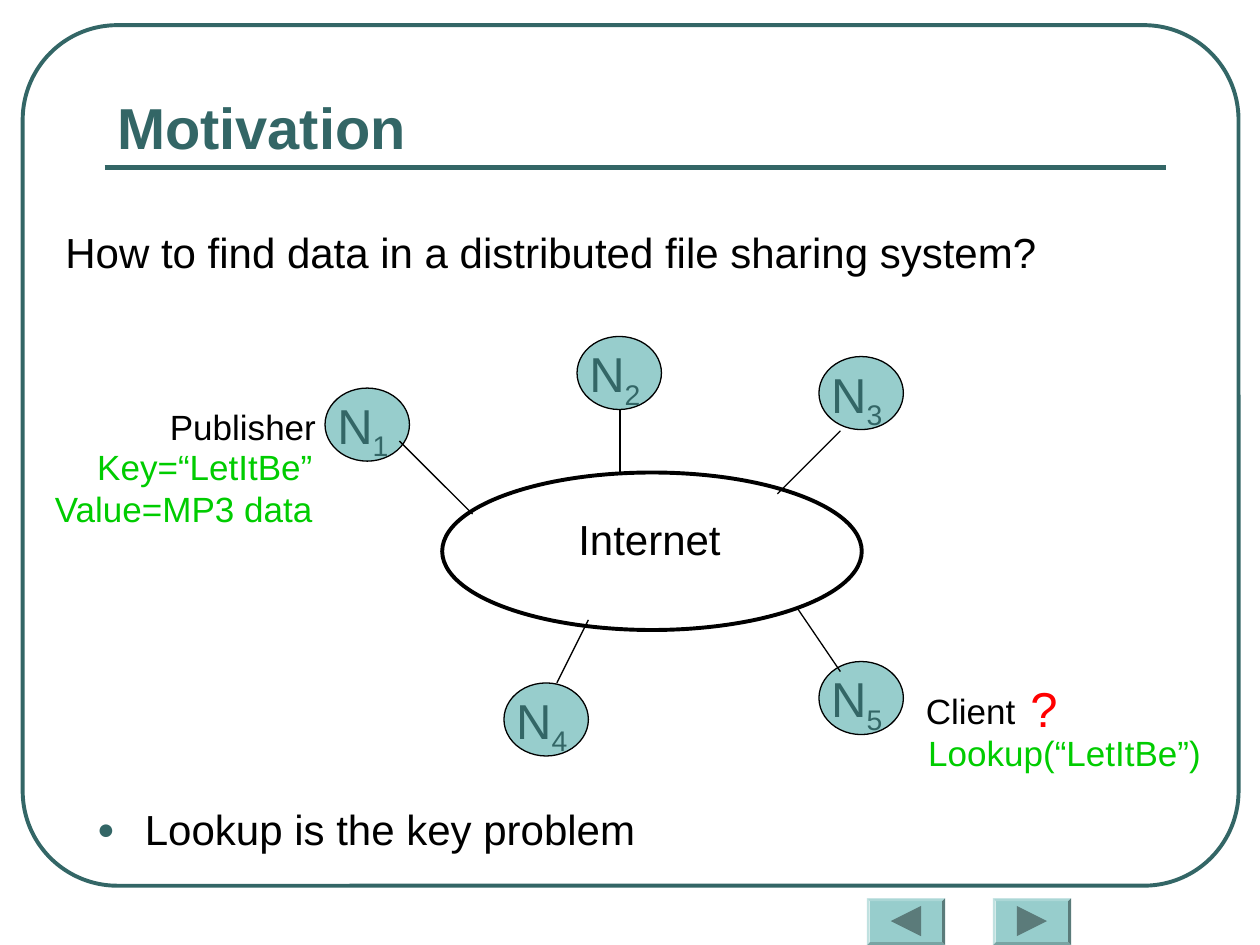
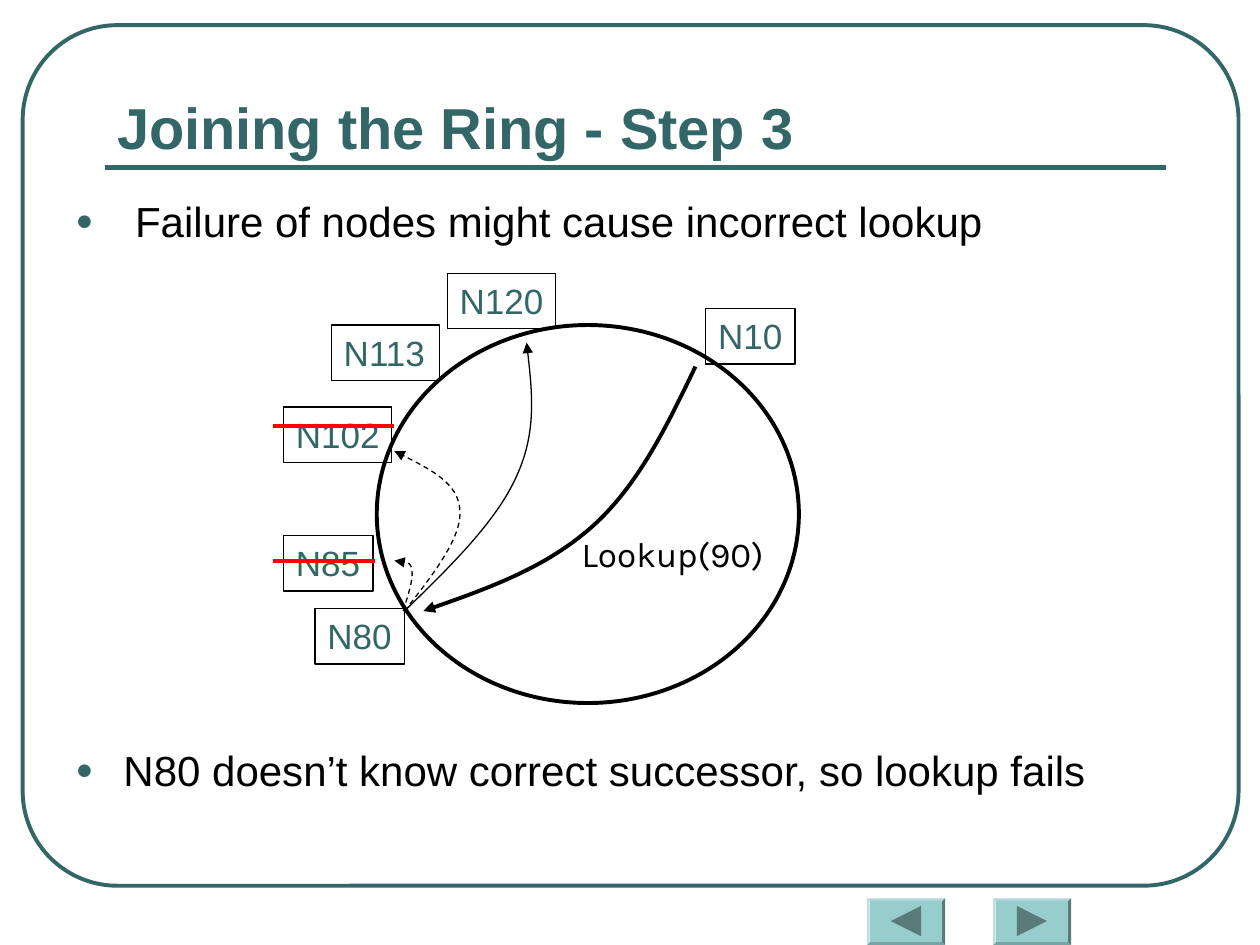
from lxml import etree
from pptx import Presentation
from pptx.dml.color import RGBColor
from pptx.enum.dml import MSO_LINE
from pptx.enum.shapes import MSO_CONNECTOR, MSO_SHAPE
from pptx.enum.text import MSO_ANCHOR, MSO_AUTO_SIZE, PP_ALIGN
from pptx.oxml.ns import qn
from pptx.util import Inches, Pt

STRAIGHT = MSO_CONNECTOR.STRAIGHT
OVAL, RECTANGLE = MSO_SHAPE.OVAL, MSO_SHAPE.RECTANGLE
ROUNDED, BEVEL = MSO_SHAPE.ROUNDED_RECTANGLE, MSO_SHAPE.BEVEL
TRIANGLE = MSO_SHAPE.ISOSCELES_TRIANGLE
LEFT, CENTER, RIGHT = PP_ALIGN.LEFT, PP_ALIGN.CENTER, PP_ALIGN.RIGHT
TOP, MIDDLE, BOTTOM = MSO_ANCHOR.TOP, MSO_ANCHOR.MIDDLE, MSO_ANCHOR.BOTTOM
FIXED = MSO_AUTO_SIZE.NONE
DASH = MSO_LINE.DASH

TEAL, AQUA, ARROW_GRAY = "336666", "97CDCC", "5B7B7A"
BLACK, GREEN, RED = "000000", "00CC00", "FF0000"


def paint(shape, line=None, width=0.75, fill=None):
    """Set outline and fill from hex strings, without a shadow."""
    if hasattr(shape, "fill"):
        if fill:
            shape.fill.solid()
            shape.fill.fore_color.rgb = RGBColor.from_string(fill)
        else:
            shape.fill.background()
    if line:
        shape.line.color.rgb = RGBColor.from_string(line)
        shape.line.width = Pt(width)
    else:
        shape.line.fill.background()
    etree.SubElement(shape._element.spPr, qn("a:effectLst"))


def write(box, lines, color, size=20, align=LEFT, anchor=TOP, subscript="",
          bold=False, font="Arial"):
    """Fill a box with one paragraph per line, the last with a subscript."""
    # Only the aligned side has a margin, so that tight labels stay on one line
    frame_format = {"word_wrap": True, "auto_size": FIXED, "vertical_anchor": anchor,
                    "margin_left": Inches(0.1 if align == LEFT else 0),
                    "margin_right": Inches(0.1 if align == RIGHT else 0),
                    "margin_top": Inches(0.05), "margin_bottom": Inches(0.05)}
    for name, value in frame_format.items():
        setattr(box.text_frame, name, value)
    box.text_frame.text = "\n".join(lines)
    if subscript:
        span = box.text_frame.paragraphs[-1].add_run()
        span.text = subscript
        span.font._element.set("baseline", "-25000")
    for para in box.text_frame.paragraphs:
        para.alignment = align
        for span in para.runs:
            for name, value in {"name": font, "size": Pt(size), "bold": bold}.items():
                setattr(span.font, name, value)
            span.font.color.rgb = RGBColor.from_string(color)


deck = Presentation()
deck.slide_width, deck.slide_height = Inches(10), Inches(7.5)

# Title, body area, and bullets with the space before each in points
contents = [
    ("Motivation", (0.67, 6.33, 8.42, 0.58), [("Lookup is the key problem", 6)]),
    ("Joining the Ring - Step 3", (0.5, 1.5, 8.42, 5.42),
     [(" Failure of nodes might cause incorrect lookup", 6),
      ("N80 doesn’t know correct successor, so lookup fails", 285)]),
]

# Shared parts of both slides
for title, body_area, bullets in contents:
    page = deck.slides.add_slide(deck.slide_layouts[1])

    # Frame and title rule
    frame = page.shapes.add_shape(
        ROUNDED, Inches(0.18), Inches(0.2), Inches(9.65), Inches(6.83))
    frame.adjustments[0] = 0.11
    paint(frame, TEAL, 2.25)
    rule = page.shapes.add_connector(
        STRAIGHT, Inches(0.83), Inches(1.33), Inches(9.25), Inches(1.33))
    paint(rule, TEAL, 3)

    # Navigation buttons: back and forward
    for left, turn in [(6.88, -90), (7.88, 90)]:
        button = page.shapes.add_shape(
            BEVEL, Inches(left), Inches(7.13), Inches(0.62), Inches(0.37))
        button.adjustments[0] = 0.06
        paint(button, fill=AQUA)
        arrow = page.shapes.add_shape(
            TRIANGLE, Inches(left + 0.19), Inches(7.19), Inches(0.24), Inches(0.24))
        arrow.rotation = turn
        paint(arrow, fill=ARROW_GRAY)

    # Title and bullet list
    heading, body = page.placeholders
    areas = [(heading, (0.83, 0.58, 8.42, 0.75)), (body, body_area)]
    for holder, area in areas:
        for name, value in zip(("left", "top", "width", "height"), area):
            setattr(holder, name, Inches(value))
    write(heading, [title], TEAL, 33, anchor=BOTTOM, bold=True)
    write(body, [text for text, gap in bullets], BLACK, 24)
    for para, (text, gap) in zip(body.text_frame.paragraphs, bullets):
        para.space_before = Pt(gap)
        settings = para._p.get_or_add_pPr()
        settings.set("marL", str(Inches(0.38)))
        settings.set("indent", str(-Inches(0.38)))
        bullet_color = etree.SubElement(settings, qn("a:buClr"))
        etree.SubElement(bullet_color, qn("a:srgbClr"), val=TEAL)
        etree.SubElement(settings, qn("a:buSzPct"), val="70000")
        etree.SubElement(settings, qn("a:buFont"), typeface="Arial")
        etree.SubElement(settings, qn("a:buChar"), char="●")

motivation, ring_page = deck.slides

# Motivation: the network cloud
cloud = motivation.shapes.add_shape(
    OVAL, Inches(3.51), Inches(3.75), Inches(3.33), Inches(1.25))
paint(cloud, BLACK, 2.25)

# Motivation: numbered nodes
nodes = [(2.58, 3.08), (4.58, 2.67), (6.5, 2.83), (4, 5.42), (6.5, 5.25)]
for number, (left, top) in enumerate(nodes, 1):
    node = motivation.shapes.add_shape(
        OVAL, Inches(left), Inches(top), Inches(0.67), Inches(0.58))
    paint(node, BLACK, fill=AQUA)
    label = motivation.shapes.add_textbox(
        Inches(left), Inches(top + 0.01), Inches(0.6), Inches(0.63))
    write(label, ["N"], TEAL, 28, CENTER, subscript=str(number))

# Motivation: links from the nodes to the cloud
links = [(3.17, 3.5, 3.75, 4.08), (4.92, 3.25, 4.92, 3.75), (6.67, 3.42, 6.17, 3.92),
         (4.42, 5.42, 4.67, 4.92), (6.67, 5.33, 6.33, 4.83)]
for ends in links:
    link = motivation.shapes.add_connector(STRAIGHT, *map(Inches, ends))
    paint(link, BLACK)

# Motivation: question and captions
captions = [
    ((0.42, 1.75, 9.25, 0.5), ["How to find data in a distributed file sharing system?"],
     {"color": BLACK, "size": 24}),
    ((4.49, 4.03, 1.33, 0.5), ["Internet"],
     {"color": BLACK, "size": 24, "align": CENTER}),
    ((1.25, 3.17, 1.36, 0.44), ["Publisher"], {"color": BLACK}),
    ((0.32, 3.49, 2.26, 0.77), ["Key=“LetItBe”", "Value=MP3 data"],
     {"color": GREEN, "align": RIGHT}),
    ((7.27, 5.76, 2.36, 0.44), ["Lookup(“LetItBe”)"],
     {"color": GREEN, "align": CENTER}),
    ((7.25, 5.42, 0.91, 0.44), ["Client"], {"color": BLACK}),
    ((8.08, 5.33, 0.41, 0.57), ["?"],
     {"color": RED, "size": 28, "align": CENTER, "anchor": MIDDLE}),
]
for area, lines, style in captions:
    caption = motivation.shapes.add_textbox(*map(Inches, area))
    write(caption, lines, **style)

# Joining the ring: the ring and its nodes
ring = ring_page.shapes.add_shape(
    OVAL, Inches(2.99), Inches(2.58), Inches(3.35), Inches(3))
paint(ring, BLACK, 2.25)
members = {"N120": (3.55, 2.17), "N113": (2.63, 2.58), "N102": (2.25, 3.23),
           "N80": (2.5, 4.83), "N85": (2.25, 4.25), "N10": (5.6, 2.45)}
for name, (left, top) in members.items():
    width = 0.86 if len(name) == 4 else 0.71
    member = ring_page.shapes.add_shape(
        RECTANGLE, Inches(left), Inches(top), Inches(width), Inches(0.44))
    paint(member, BLACK)
    write(member, [name], TEAL)

# Joining the ring: failed nodes struck out
for right, height in [(2.98, 4.45), (3.13, 3.38)]:
    strike = ring_page.shapes.add_connector(
        STRAIGHT, Inches(2.17), Inches(height), Inches(right), Inches(height))
    paint(strike, RED, 2.25)

# Joining the ring: curved arrows, a start and then Bezier points in threes
curves = [
    (0.75, DASH, [(3.2, 4.85), (3.24, 4.72), (3.28, 4.6), (3.27, 4.53),
                  (3.26, 4.46), (3.2, 4.46), (3.13, 4.45)]),
    (0.75, DASH, [(3.21, 4.85), (3.44, 4.56), (3.67, 4.26), (3.65, 4.05),
                  (3.64, 3.84), (3.39, 3.71), (3.13, 3.58)]),
    (0.75, None, [(3.21, 4.85), (3.57, 4.5), (3.94, 4.14), (4.1, 3.78),
                  (4.26, 3.43), (4.22, 3.07), (4.18, 2.72)]),
    (2.25, None, [(5.52, 2.91), (5.29, 3.39), (5.06, 3.86), (4.7, 4.18),
                  (4.34, 4.5), (3.85, 4.68), (3.36, 4.85)]),
]
for width, dash, points in curves:
    start, *rest = [(Inches(x), Inches(y)) for x, y in points]
    builder = ring_page.shapes.build_freeform(*start)
    builder.add_line_segments(rest, close=False)
    curve = builder.convert_to_shape()
    paint(curve, BLACK, width)
    if dash:
        curve.line.dash_style = dash
    line_xml = curve._element.spPr.find(qn("a:ln"))
    etree.SubElement(line_xml, qn("a:tailEnd"), type="triangle")
    # Each three straight segments become one Bezier segment
    track = curve._element.find(".//" + qn("a:path"))
    segments = track.findall(qn("a:lnTo"))
    for first in range(0, len(segments), 3):
        bezier = etree.SubElement(track, qn("a:cubicBezTo"))
        for segment in segments[first:first + 3]:
            bezier.append(segment[0])
            track.remove(segment)

# Joining the ring: lookup label
lookup = ring_page.shapes.add_textbox(
    Inches(4.51), Inches(4.18), Inches(1.66), Inches(0.44))
write(lookup, ["Lookup(90)"], BLACK, align=CENTER, font="Karla")

deck.save("out.pptx")
